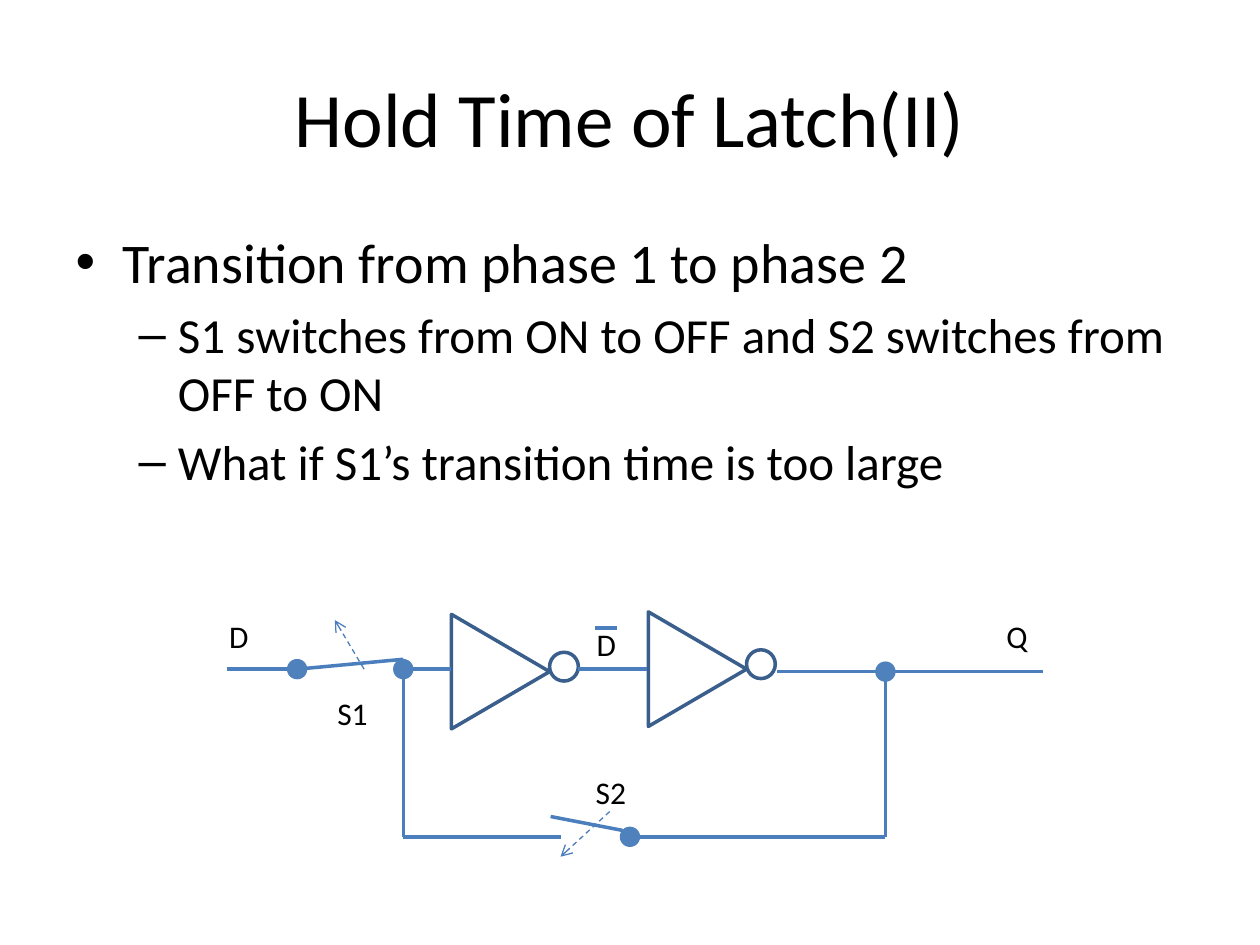
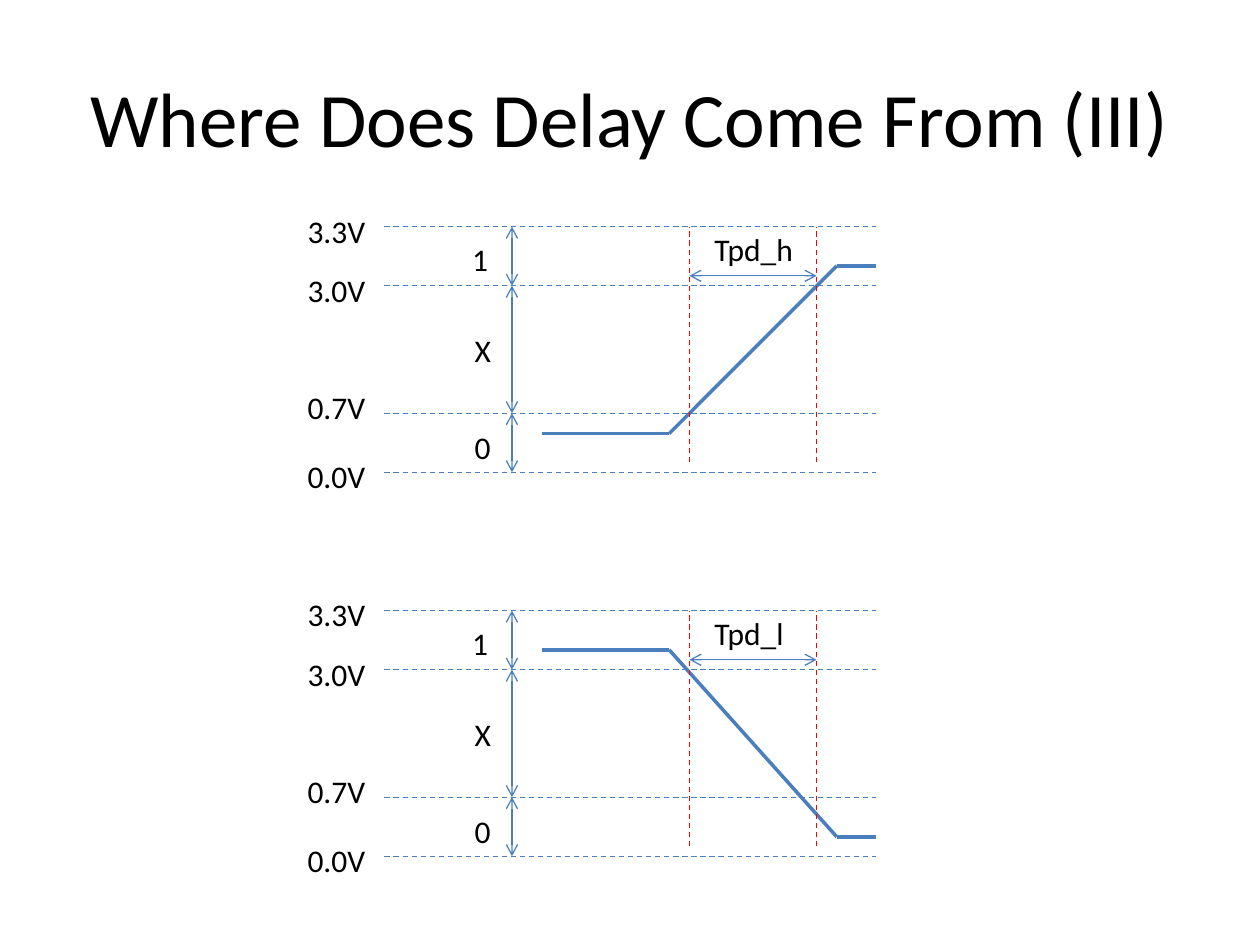
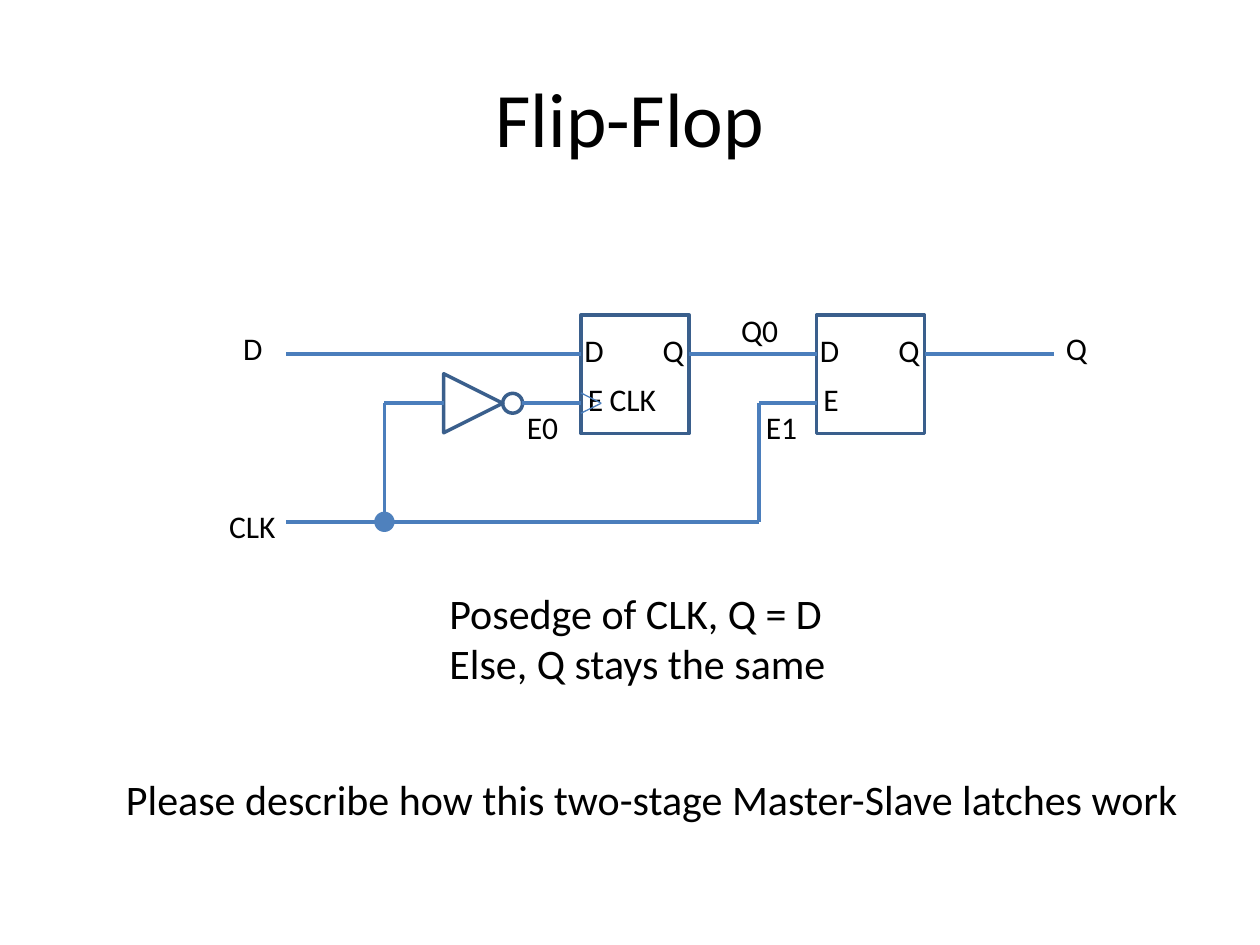
from dataclasses import dataclass
from itertools import pairwise

import pptx
import pptx.dml.color
import pptx.enum.dml
import pptx.enum.shapes
import pptx.enum.text
import pptx.oxml
import pptx.oxml.ns
import pptx.util

Cm, Pt = pptx.util.Cm, pptx.util.Pt
Kind = pptx.enum.shapes.MSO_SHAPE
DASH = pptx.enum.dml.MSO_LINE.DASH
ANCHOR = pptx.enum.text.MSO_ANCHOR
ALIGN = pptx.enum.text.PP_ALIGN


@dataclass(frozen=True)
class Theme:
    font: str = "Calibri"
    ink: str = "000000"
    edge: str = "3A5F8C"
    wire: str = "4B7EBC"
    dot: str = "4F81BD"
    mark: str = "FF0000"
    title: float = 44
    body: tuple = (32, 28)
    note: float = 24
    label: float = 18
    thick: float = 2
    thin: float = 0.75


LOOK = Theme()
TITLE_BOX = (1.27, 0.76, 22.86, 3.18)
BODY_BOX = (1.27, 4.45, 22.86, 12.57)


def rgb(code):
    return pptx.dml.color.RGBColor.from_string(code)


def apply(item, values):
    for name, value in values.items():
        setattr(item, name, value)


def place(shape, box):
    names = ("left", "top", "width", "height")
    apply(shape, {name: Cm(size) for name, size in zip(names, box)})


def type_in(para, text, size):
    para.text = text
    apply(para.font, {"name": LOOK.font, "size": Pt(size)})
    para.font.color.rgb = rgb(LOOK.ink)


class Pen:
    """Draws on a slide in centimetres from a given corner."""

    def __init__(self, slide, left=0, top=0):
        self.shapes, self.left, self.top = slide.shapes, left, top

    def line(self, start, end, color=LOOK.wire, width=LOOK.thin,
             dash=None, head=False, tail=False):
        ends = [Cm(v) for x, y in (start, end)
                for v in (self.left + x, self.top + y)]
        item = self.shapes.add_connector(
            pptx.enum.shapes.MSO_CONNECTOR.STRAIGHT, *ends)
        item.line.color.rgb = rgb(color)
        apply(item.line, {"width": Pt(width), "dash_style": dash})
        props = item._element.spPr
        stroke = props.find(pptx.oxml.ns.qn("a:ln"))
        space = pptx.oxml.ns.nsdecls("a")
        for tag, wanted in (("headEnd", head), ("tailEnd", tail)):
            if wanted:
                stroke.append(pptx.oxml.parse_xml(
                    f'<a:{tag} {space} type="arrow"/>'))
        props.append(pptx.oxml.parse_xml(f"<a:effectLst {space}/>"))

    def wire(self, *points):
        for start, end in pairwise(points):
            self.line(start, end, width=LOOK.thick)

    def shape(self, kind, x, y, wide, high, fill=None, turn=0):
        """Adds a shape centred on x, y: filled, or else outlined."""
        item = self.shapes.add_shape(kind, 0, 0, 0, 0)
        place(item, (self.left + x - wide / 2, self.top + y - high / 2,
                     wide, high))
        item.rotation = turn
        item.shadow.inherit = False
        if fill:
            item.fill.solid()
            item.fill.fore_color.rgb = rgb(fill)
            item.line.fill.background()
        else:
            item.fill.background()
            item.line.color.rgb = rgb(LOOK.edge)
            item.line.width = Pt(LOOK.thick)

    def dot(self, x, y):
        self.shape(Kind.OVAL, x, y, 0.41, 0.41, LOOK.dot)

    def gate(self, x, y, base, depth, ring, lift=0):
        """Adds an inverter: a triangle that points right, and a ring."""
        self.shape(Kind.ISOSCELES_TRIANGLE, x, y, base, depth, turn=90)
        self.shape(Kind.OVAL, x + (depth + ring) / 2, y - lift, ring, ring)

    def label(self, text, x, y, wide, high=1.02, size=LOOK.label):
        item = self.shapes.add_textbox(0, 0, 0, 0)
        place(item, (self.left + x, self.top + y, wide, high))
        frame = item.text_frame
        apply(frame, {
            "word_wrap": False,
            "auto_size": pptx.enum.text.MSO_AUTO_SIZE.SHAPE_TO_FIT_TEXT})
        for i, row in enumerate(text.split("\n")):
            para = frame.add_paragraph() if i else frame.paragraphs[0]
            type_in(para, row, size)

    def labels(self, *rows):
        for row in rows:
            self.label(*row)


def new_slide(deck, title, layout="Title Only"):
    slide = deck.slides.add_slide(deck.slide_layouts.get_by_name(layout))
    head = slide.shapes.title
    place(head, TITLE_BOX)
    head.text_frame.vertical_anchor = ANCHOR.MIDDLE
    para = head.text_frame.paragraphs[0]
    type_in(para, title, LOOK.title)
    para.alignment = ALIGN.CENTER
    return slide


def fill_body(slide, rows):
    body = slide.placeholders[1]
    place(body, BODY_BOX)
    frame = body.text_frame
    for i, (level, text) in enumerate(rows):
        para = frame.add_paragraph() if i else frame.paragraphs[0]
        para.level = level
        type_in(para, text, LOOK.body[level])


def draw_latch(slide, left, top):
    """Draws the latch; the corner is the start of the D wire."""
    pen = Pen(slide, left, top)
    node, back, join, low, out = 3.56, 8.13, 13.28, 3.38, 0.05
    for x, y in ((5.52, 0.05), (9.49, 0)):
        pen.gate(x, y, 2.31, 1.98, 0.58, 0.1)
    pen.wire((0, 0), (1.37, 0))
    pen.wire((1.42, 0), (node, -0.2))
    pen.wire((4.52, 0), (node, 0), (node, low), (6.73, low))
    pen.wire((7.09, 0), (8.48, 0))
    pen.wire((11.1, out), (16.46, out))
    pen.wire((join, out), (join, low), (back, low))
    pen.wire((6.53, 2.97), (7.98, 3.25))
    pen.wire((7.42, -0.83), (7.87, -0.83))
    for x, y in ((1.42, 0), (node, 0), (join, out), (back, low)):
        pen.dot(x, y)
    for start, end in (((2.77, 0), (2.18, -0.99)),
                       ((7.72, 2.87), (6.73, 3.78))):
        pen.line(start, end, dash=DASH, tail=True)
    pen.labels(("D", -0.2, -1.17, 0.91), ("Q", 15.47, -1.17, 0.94),
               ("S1", 1.98, 0.38, 1.14), ("S2", 7.19, 1.96, 1.14),
               ("D", 7.21, -1.02, 0.91))


def draw_delay(slide, left, top, name, wide, start, end):
    """Draws voltage levels and a trace from height start to end."""
    pen = Pen(slide, left, top)
    right, axis, edges = 9.91, 2.57, (6.15, 8.71)
    levels = (0, 1.19, 3.76, 4.95)
    pen.wire((3.18, start), (5.74, start), (9.12, end), (right, end))
    for y, text, rise in zip(levels, ("3.3V", "3.0V", "0.7V", "0.0V"),
                             (0.43, 0.43, 0.64, 0.43)):
        pen.line((0, y), (right, y), dash=DASH)
        pen.label(text, -1.8, y - rise, 1.68)
    for high, low in pairwise(levels):
        pen.line((axis, low), (axis, high), head=True, tail=True)
    for x in edges:
        pen.line((x, 4.75), (x, 0), LOOK.mark, dash=DASH)
    pen.line((edges[0], 0.99), (edges[1], 0.99), head=True, tail=True)
    pen.labels(("1", 1.52, 0.15, 0.84), ("X", 1.57, 1.98, 0.84),
               ("0", 1.57, 3.94, 0.84), (name, 6.4, -0.05, wide))


def draw_block(slide, left, top):
    """Draws one latch block from its top left corner."""
    pen = Pen(slide, left, top)
    wide, high = 2.18, 2.39
    pen.shape(Kind.RECTANGLE, wide / 2, high / 2, wide, high)
    pen.labels(("D", -0.18, 0.2, 0.91), ("Q", 1.4, 0.2, 0.94),
               ("E", -0.11, 1.19, 0.81))
    return pen


def draw_flip(slide, left, top):
    """Draws the flip-flop; the corner is the start of the D wire."""
    pen = Pen(slide, left, top)
    first, second, wide = 5.94, 10.69, 2.18
    node, turn, mid, low = 1.98, 9.53, 0.99, 3.38
    clock = draw_block(slide, left + first, top - 0.79)
    draw_block(slide, left + second, top - 0.79)
    clock.label("CLK", 0.33, 1.19, 1.47)
    for start, end in pairwise(((0, 1.57), (0.41, 1.78), (0, 1.98))):
        clock.line(start, end)
    pen.gate(3.77, mid, 1.19, 1.19, 0.4)
    pen.wire((0, 0), (first, 0))
    pen.wire((first + wide, 0), (second, 0))
    pen.wire((second + wide, 0), (15.47, 0))
    pen.wire((4.75, mid), (first, mid))
    pen.wire((3.18, mid), (node, mid), (node, low))
    pen.wire((0, low), (node, low), (turn, low), (turn, mid), (second, mid))
    pen.dot(node, low)
    pen.labels(("D", -1.12, -0.64, 0.91), ("Q0", 8.92, -0.99, 1.27),
               ("Q", 15.47, -0.64, 0.94), ("E1", 9.42, 0.97, 1.14),
               ("E0", 4.6, 0.97, 1.14), ("CLK", -1.4, 2.95, 1.47))


def main():
    deck = pptx.Presentation()
    apply(deck, {"slide_width": Cm(25.4), "slide_height": Cm(19.05)})

    hold = new_slide(deck, "Hold Time of Latch(II)", "Title and Content")
    fill_body(hold, (
        (0, "Transition from phase 1 to phase 2"),
        (1, "S1 switches from ON to OFF and S2 switches from OFF to ON"),
        (1, "What if S1’s transition time is too large")))
    draw_latch(hold, 4.57, 13.49)

    delay = new_slide(deck, "Where Does Delay Come From (III)")
    draw_delay(delay, 7.75, 4.57, "Tpd_h", 2.11, 4.17, 0.79)
    draw_delay(delay, 7.75, 12.31, "Tpd_l", 1.93, 0.79, 4.56)

    flip = new_slide(deck, "Flip-Flop")
    draw_flip(flip, 5.77, 7.14)
    Pen(flip).labels(
        ("Posedge of CLK, Q = D\nElse, Q stays the same",
         8.81, 11.71, 8.15, 2.31, LOOK.note),
        ("Please describe how this two-stage Master-Slave latches work",
         2.29, 15.47, 21.92, 1.27, LOOK.note))

    deck.save("out.pptx")


if __name__ == "__main__":
    main()
